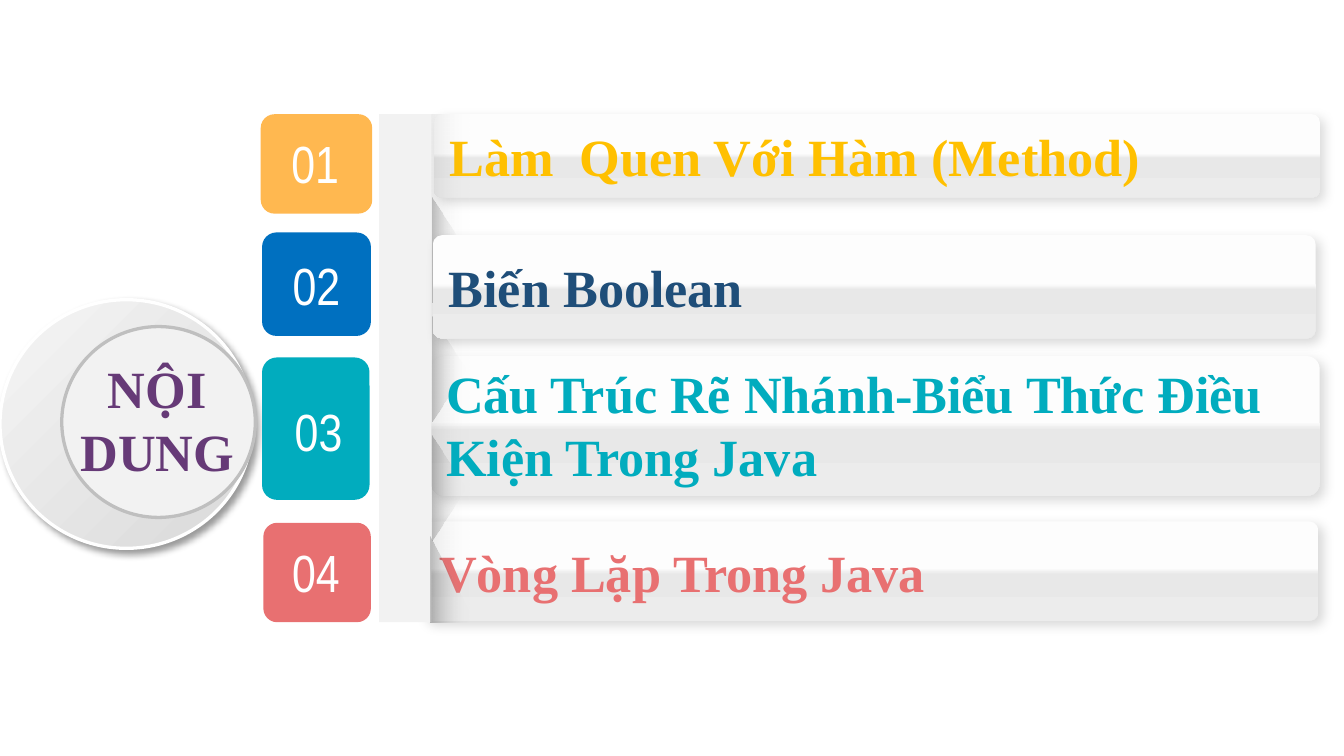
from lxml import etree
from pptx import Presentation
from pptx.dml.color import RGBColor
from pptx.enum import shapes, text
from pptx.oxml import ns
from pptx.util import Inches, Pt

MSO = shapes.MSO_SHAPE
CENTER = text.PP_ALIGN.CENTER
SERIF, NARROW = "Times New Roman", "Arial Narrow"
BAR_STOPS = [(47, "FDFDFD", 100), (53, "E8E8E8", 100), (100, "ECECEC", 100)]


def rgb(value):
    return RGBColor.from_string(value)


def sub(parent, tag, **attrs):
    return etree.SubElement(parent, ns.qn(tag), {k: str(v) for k, v in attrs.items()})


def add_color(parent, color, alpha):
    clr = sub(parent, "a:srgbClr", val=color)
    if alpha < 100:
        sub(clr, "a:alpha", val=alpha * 1000)


def set_gradient(sp, stops, angle):
    """Fill with (percent, colour, opacity) stops; angle runs clockwise."""
    sp.fill.background()
    none = sp._element.spPr.find(ns.qn("a:noFill"))
    grad = etree.Element(ns.qn("a:gradFill"), rotWithShape="1")
    stop_list = sub(grad, "a:gsLst")
    for pos, color, alpha in stops:
        add_color(sub(stop_list, "a:gs", pos=pos * 1000), color, alpha)
    sub(grad, "a:lin", ang=angle * 60000, scaled=0)
    none.getparent().replace(none, grad)


def set_shadow(sp, alpha, blur, dist):
    effects = sp._element.spPr.find(ns.qn("a:effectLst"))
    shadow = sub(effects, "a:outerShdw", blurRad=Pt(blur), dist=Pt(dist),
                 dir=45 * 60000, algn="tl", rotWithShape=0)
    add_color(shadow, "000000", alpha)


def write(tf, content, font=SERIF, color="FFFFFF", bold=True, size=28,
          align=text.PP_ALIGN.LEFT, anchor=text.MSO_ANCHOR.MIDDLE):
    tf.word_wrap = True
    tf.vertical_anchor = anchor
    p = tf.paragraphs[0]
    p.alignment = align
    r = p.add_run()
    r.text = content
    r.font.name, r.font.size, r.font.bold = font, Pt(size), bold
    r.font.color.rgb = rgb(color)


class Agenda:
    def __init__(self, prs):
        self.s = prs.slides.add_slide(prs.slide_layouts[6])

    def finish(self, sp, fill=None, stops=None, angle=0, line=None):
        sp.shadow.inherit = False
        if stops:
            set_gradient(sp, stops, angle)
        else:
            sp.fill.solid()
            sp.fill.fore_color.rgb = rgb(fill)
        if line:
            sp.line.color.rgb = rgb(line)
            sp.line.width = Pt(1.75)
        else:
            sp.line.fill.background()
        return sp

    def shape(self, kind, box, adj=None, **look):
        sp = self.s.shapes.add_shape(kind, *map(Inches, box))
        if adj is not None:
            sp.adjustments[0] = adj
        return self.finish(sp, **look)

    def polygon(self, points, **look):
        points = [(Inches(x), Inches(y)) for x, y in points]
        builder = self.s.shapes.build_freeform(*points[0])
        builder.add_line_segments(points[1:])
        return self.finish(builder.convert_to_shape(), **look)

    def label(self, box, content, **style):
        tb = self.s.shapes.add_textbox(*map(Inches, box))
        write(tb.text_frame, content, anchor=text.MSO_ANCHOR.TOP, **style)

    def badge(self, box, fill, number, number_box=None):
        """Number tile; number_box sets the number apart from the tile."""
        sp = self.shape(MSO.ROUNDED_RECTANGLE, box, 0.139, fill=fill)
        style = dict(font=NARROW, bold=False, align=CENTER)
        if number_box:
            self.label(number_box, number, **style)
        else:
            write(sp.text_frame, number, **style)

    def bar(self, box, content=None, color=None):
        sp = self.shape(MSO.ROUNDED_RECTANGLE, box, 0.092, stops=BAR_STOPS, angle=90)
        set_shadow(sp, 14, 6, 3)
        if content:
            write(sp.text_frame, content, color=color)


def main():
    prs = Presentation()
    prs.slide_width = Inches(10)
    prs.slide_height = prs.slide_width * 9 // 16
    agenda = Agenda(prs)

    disc = agenda.shape(MSO.OVAL, (0, 2.23, 1.88, 1.85), angle=45, line="FFFFFF",
                        stops=[(0, "F5F5F5", 100), (100, "D9D9D9", 100)])
    set_shadow(disc, 40, 4, 3)
    agenda.shape(MSO.OVAL, (0.46, 2.43, 1.44, 1.42), fill="F2F2F2", line="BFBFBF")
    agenda.label((0.23, 2.6, 1.88, 1.26), "NỘI DUNG", color="663A77", align=CENTER)

    agenda.badge((1.94, 0.85, 0.83, 0.74), "FFB850", "01", (1.94, 0.93, 0.81, 0.57))
    agenda.badge((1.95, 2.66, 0.8, 1.06), "01ACBE", "03", (1.96, 2.92, 0.82, 0.57))
    agenda.badge((1.96, 3.89, 0.8, 0.74), "E87071", "04", (1.96, 3.97, 0.78, 0.57))

    agenda.bar((3.23, 0.85, 6.59, 0.62), "Làm  Quen Với Hàm (Method)", "FFC000")
    agenda.bar((3.21, 2.65, 6.61, 1.04))
    agenda.bar((3.15, 3.88, 6.66, 0.74), "Vòng Lặp Trong Java", "E87071")

    # Spine with the folds it casts over the bars
    agenda.shape(MSO.RECTANGLE, (3.2, 0.85, 0.3, 3.78),
                 stops=[(0, "000000", 8), (100, "F2F2F2", 0)])
    agenda.shape(MSO.RECTANGLE, (2.82, 0.85, 0.39, 3.78), fill="F2F2F2")
    for i in range(3):
        fold = agenda.shape(MSO.TRAPEZOID, (2.95, 1.74 + 0.885 * i, 0.78, 0.24), 1.74,
                            stops=[(0, "F2F2F2", 0), (100, "000000", 21)], angle=90)
        fold.rotation = 90
    agenda.polygon([(3.2, 3.99), (3.49, 4.55), (3.49, 4.63), (3.2, 4.63)],
                   stops=[(0, "000000", 21), (100, "F2F2F2", 0)])

    # These lie above the folds
    agenda.label((3.22, 2.64, 6.82, 1.04),
                 "Cấu Trúc Rẽ Nhánh-Biểu Thức Điều Kiện Trong Java", color="01ACBE")
    agenda.badge((1.95, 1.73, 0.81, 0.77), "0070C0", "02")
    agenda.bar((3.22, 1.75, 6.57, 0.77), "Biến Boolean", "1F4E79")
    prs.save("out.pptx")


if __name__ == "__main__":
    main()
